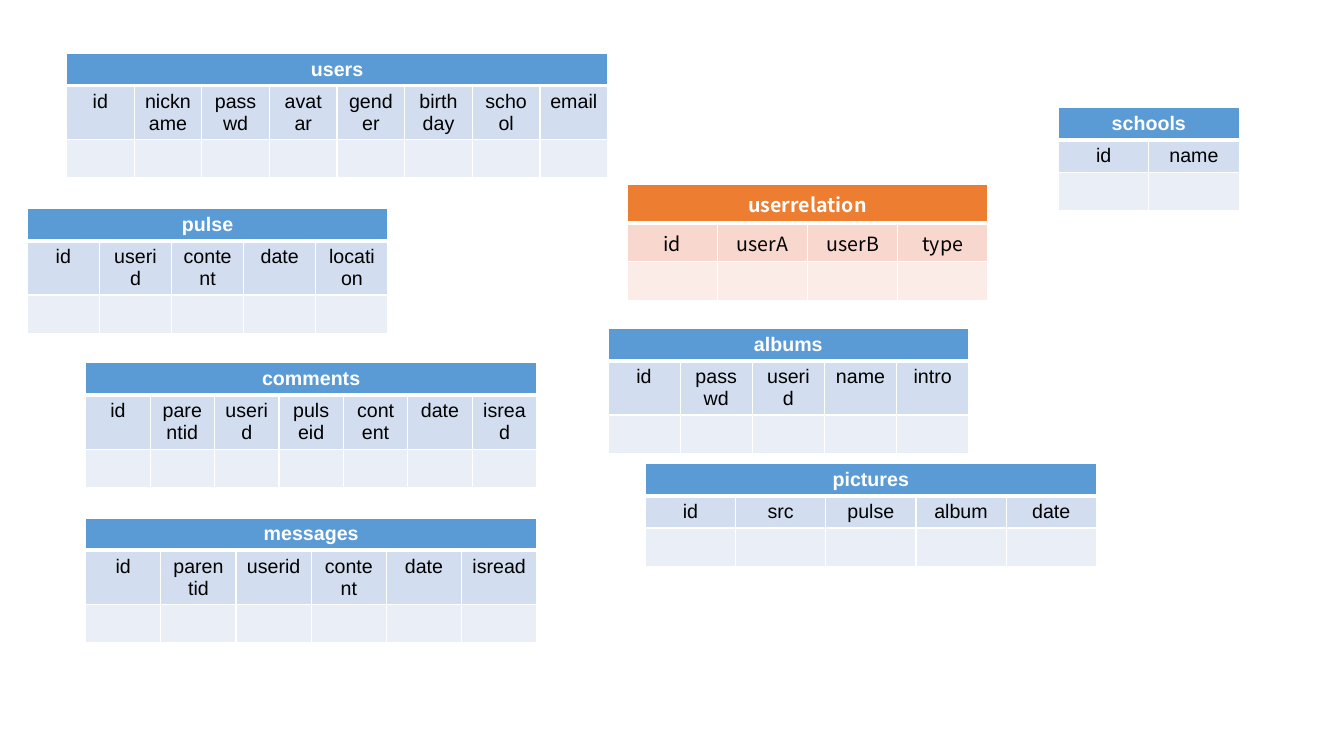
from lxml.etree import SubElement
from pptx import Presentation
from pptx.dml.color import RGBColor
from pptx.enum.text import PP_ALIGN as Align
from pptx.oxml.ns import qn
from pptx.util import Inches, Pt

COLORS = {
    "white": "FFFFFF", "black": "000000",
    "blue": "5B9BD5", "blue band": "D2DEEF", "blue pale": "EAEFF7",
    "orange": "ED7D31", "orange band": "F8D7CE", "orange pale": "FCECE8",
}
UNIT = Inches(1.79) / 2  # table widths are whole multiples of this
ROW = Inches(0.3)

# name, left, top, width in units, colour, font, fields
TABLES = [
    ("users", 0.66, 0.53, 6, "blue", "Arial",
     "id nickname passwd avatar gender birthday school email"),
    ("userrelation", 6.22, 1.83, 4, "orange", "Noto Sans CJK SC",
     "id userA userB type"),
    ("comments", 0.85, 3.6, 5, "blue", "Arial",
     "id parentid userid pulseid content date isread"),
    ("pulse", 0.27, 2.07, 4, "blue", "Arial",
     "id userid content date location"),
    ("pictures", 6.4, 4.6, 5, "blue", "Arial", "id src pulse album date"),
    ("albums", 6.03, 3.26, 4, "blue", "Arial", "id passwd userid name intro"),
    ("messages", 0.85, 5.14, 5, "blue", "Arial",
     "id parentid userid content date isread"),
    ("schools", 10.5, 1.07, 2, "blue", "Arial", "id name"),
]


def style_cell(cell, fill, top=1, bottom=1):
    """Give a cell white borders, with widths in points, and a solid fill."""
    properties = cell._tc.get_or_add_tcPr()
    for side, width in (("L", 1), ("R", 1), ("T", top), ("B", bottom)):
        line = SubElement(properties, qn(f"a:ln{side}"), w=str(Pt(width)))
        solid = SubElement(line, qn("a:solidFill"))
        SubElement(solid, qn("a:srgbClr"), val=COLORS["white"])
    cell.fill.solid()
    cell.fill.fore_color.rgb = RGBColor.from_string(COLORS[fill])


def write_cell(cell, text, font_name, color, bold):
    cell.text = text
    paragraph = cell.text_frame.paragraphs[0]
    paragraph.alignment = Align.CENTER
    font = paragraph.font
    font.name, font.size, font.bold = font_name, Pt(14), bold
    font.color.rgb = RGBColor.from_string(COLORS[color])


presentation = Presentation()
presentation.slide_width = Inches(13.33)
presentation.slide_height = Inches(7.5)
slide = presentation.slides.add_slide(presentation.slide_layouts[6])

for name, left, top, units, color, font_name, field_names in TABLES:
    fields = field_names.split()
    width = round(units * UNIT)
    table = slide.shapes.add_table(3, len(fields), Inches(left), Inches(top),
                                   width, 3 * ROW).table

    # Fields over an empty record
    for index, field in enumerate(fields):
        table.columns[index].width = width // len(fields)
        style_cell(table.cell(0, index), color, bottom=3)
        style_cell(table.cell(1, index), f"{color} band", top=3)
        write_cell(table.cell(1, index), field, font_name, "black", False)
        record = table.cell(2, index)
        style_cell(record, f"{color} pale")
        # The end mark's font sets the height of an empty row
        paragraph = record.text_frame.paragraphs[0]
        end_mark = SubElement(paragraph._p, qn("a:endParaRPr"), sz="1800")
        SubElement(end_mark, qn("a:latin"), typeface="Arial")

    # Table name across all columns
    header = table.cell(0, 0)
    header.merge(table.cell(0, len(fields) - 1))
    write_cell(header, name, font_name, "white", True)

presentation.save("out.pptx")
